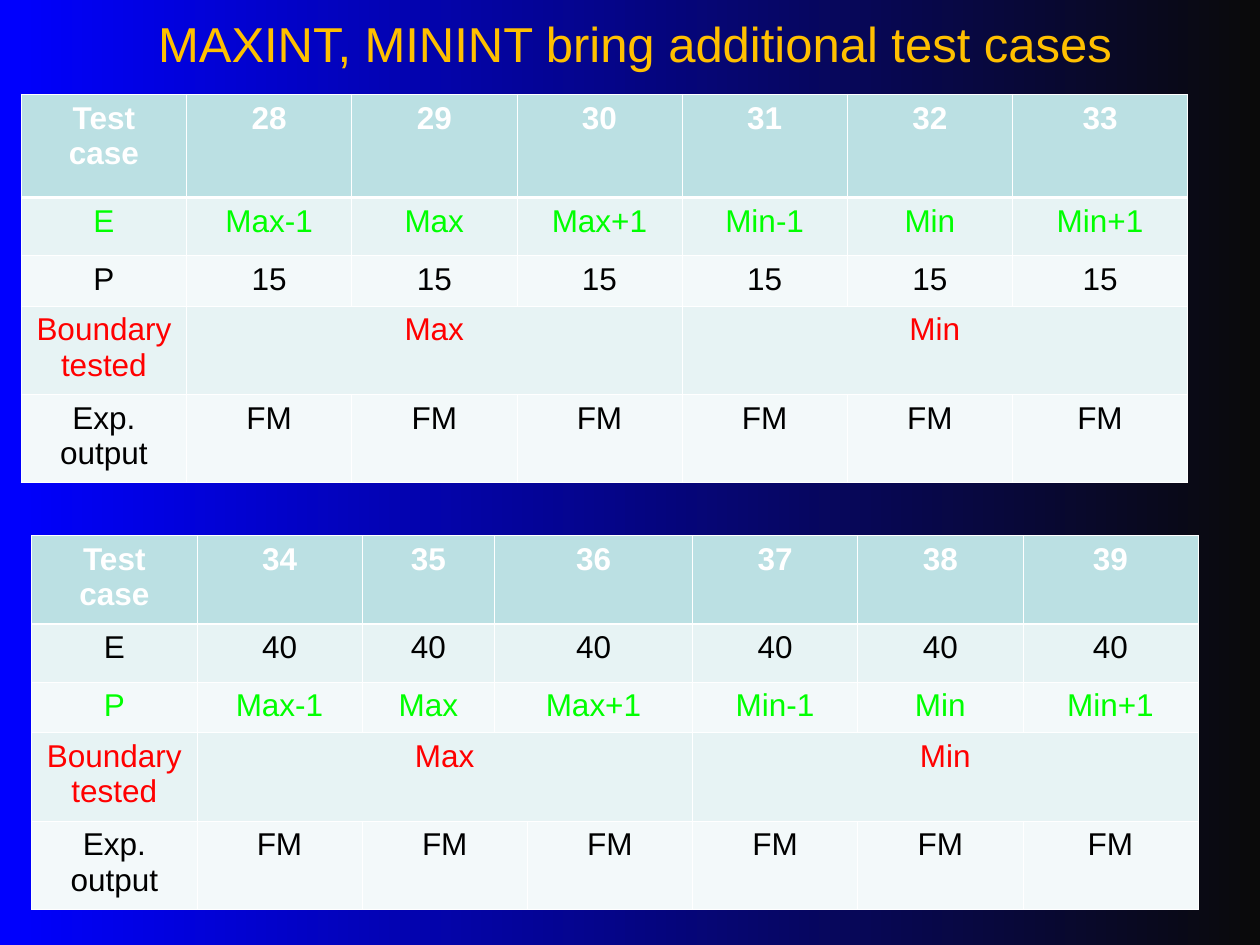
from lxml.etree import SubElement
from pptx import Presentation
from pptx.dml.color import RGBColor
from pptx.enum.text import MSO_ANCHOR as Anchor, PP_ALIGN as Align
from pptx.oxml.ns import qn
from pptx.util import Cm, Pt

COLORS = {
    "blue": "0000FF", "night": "0A0A0A", "gold": "FFC000", "white": "FFFFFF",
    "black": "000000", "green": "00FF00", "red": "FF0000",
    "header": "BBE0E3", "band": "E7F3F4", "plain": "F3F9FA",
}
THIN, THICK = Pt(0.45), Pt(1.47)
BOUNDARIES = ["Max-1", "Max", "Max+1", "Min-1", "Min", "Min+1"]
ROW_FILLS = ["header", "band", "plain", "band", "plain"]
BODY_HEIGHTS = [1.17, 1.02, 1.78, 1.78]


def color(name):
    return RGBColor.from_string(COLORS[name])


class Slide:
    font = "Arial"

    def __init__(self, deck):
        self.page = deck.slides.add_slide(deck.slide_layouts[6])

    def background(self, start, end):
        fill = self.page.background.fill
        fill.gradient()
        fill.gradient_angle = 0
        for stop, name in zip(fill.gradient_stops, (start, end)):
            stop.color.rgb = color(name)

    def set_text(self, frame, text, size, name, bold=False):
        para = frame.paragraphs[0]
        para.text = text
        para.alignment = Align.CENTER
        para.font.name = self.font
        para.font.size = Pt(size)
        para.font.bold = bold
        para.font.color.rgb = color(name)

    def title(self, text):
        box = self.page.shapes.add_textbox(Cm(0.2), 0, Cm(25.2), Cm(1.75))
        box.text_frame.word_wrap = True
        box.text_frame.vertical_anchor = Anchor.MIDDLE
        self.set_text(box.text_frame, text, 28, "gold")

    def borders(self, cell, top, bottom):
        properties = cell._tc.get_or_add_tcPr()
        for side, width in (("L", THIN), ("R", THIN), ("T", top), ("B", bottom)):
            line = SubElement(properties, qn(f"a:ln{side}"), w=str(width))
            fill = SubElement(line, qn("a:solidFill"))
            SubElement(fill, qn("a:srgbClr"), val=COLORS["white"])

    def table(self, left, top, widths, heights, rows):
        table = self.page.shapes.add_table(
            len(heights), len(widths), Cm(left), Cm(top),
            Cm(sum(widths)), Cm(sum(heights))).table
        table.first_row = table.horz_banding = False
        for column, width in zip(table.columns, widths):
            column.width = Cm(width)
        for row, height in zip(table.rows, heights):
            row.height = Cm(height)
        for index, (name, texts, spans) in enumerate(rows):
            for cell in table.rows[index].cells:
                self.borders(cell, THICK if index == 1 else THIN,
                             THICK if index == 0 else THIN)
                cell.fill.solid()
                cell.fill.fore_color.rgb = color(ROW_FILLS[index])
            start = 0
            for text, span in zip(texts, spans):
                cell = table.cell(index, start)
                if span > 1:
                    cell.merge(table.cell(index, start + span - 1))
                self.set_text(cell.text_frame, text, 18, name, bold=index == 0)
                start += span


def case_rows(first, e_row, p_row, spans, boundary_spans, output_spans):
    numbers = [str(number) for number in range(first, first + 6)]
    return [
        ("white", ["Test case"] + numbers, spans),
        (e_row[0], ["E"] + e_row[1], spans),
        (p_row[0], ["P"] + p_row[1], spans),
        ("red", ["Boundary tested", "Max", "Min"], boundary_spans),
        ("black", ["Exp. output"] + ["FM"] * 6, output_spans),
    ]


def main():
    deck = Presentation()
    deck.slide_width, deck.slide_height = Cm(25.4), Cm(19.05)
    slide = Slide(deck)
    slide.background("blue", "night")
    slide.title("MAXINT, MININT bring additional test cases")

    limits = ("green", BOUNDARIES)
    single = [1] * 7
    slide.table(0.43, 1.9, [3.33] * 6 + [3.53], [2.08] + BODY_HEIGHTS,
                case_rows(28, limits, ("black", ["15"] * 6),
                          single, [1, 3, 3], single))
    slide.table(0.64, 10.8, [3.33, 3.33, 2.67, 0.66] + [3.33] * 3 + [3.53],
                [1.78] + BODY_HEIGHTS,
                case_rows(34, ("black", ["40"] * 6), limits,
                          [1, 1, 1, 2, 1, 1, 1], [1, 4, 3],
                          [1, 1, 2, 1, 1, 1, 1]))
    deck.save("out.pptx")


if __name__ == "__main__":
    main()
